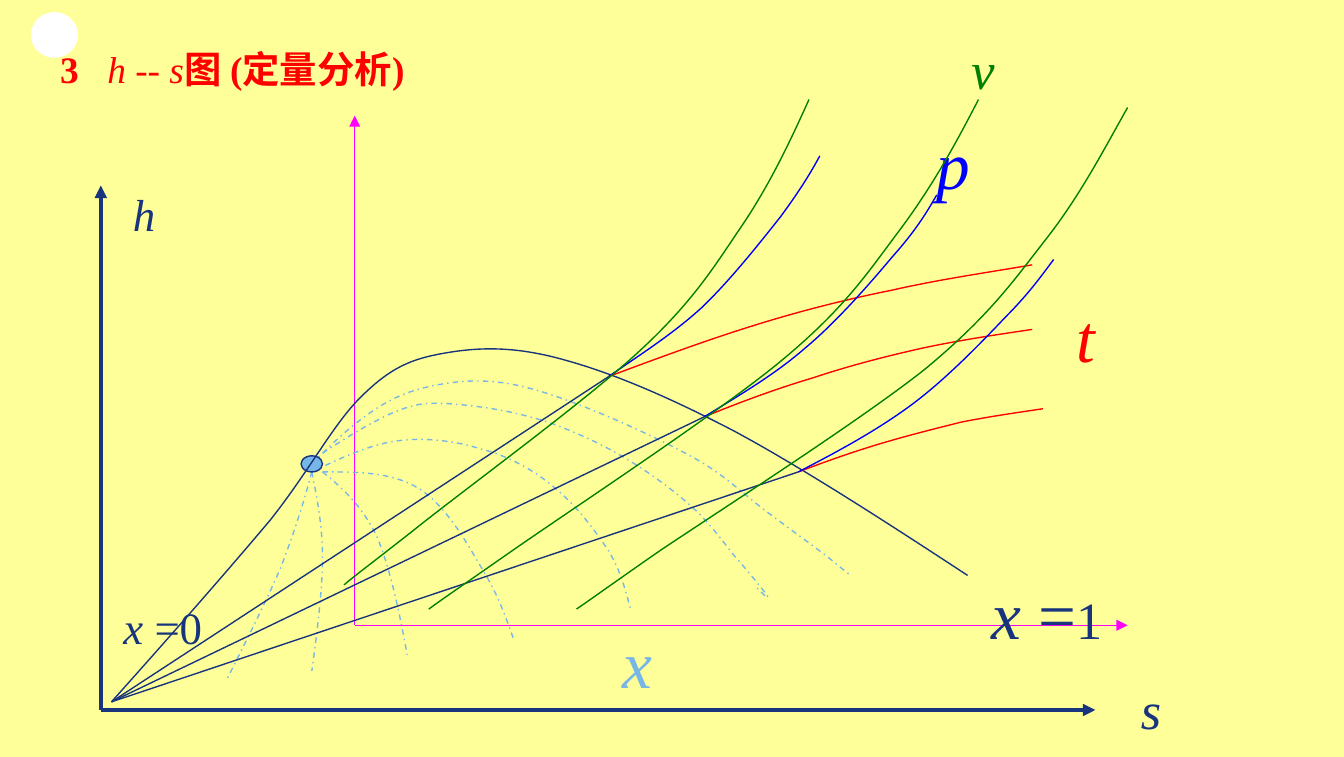
from dataclasses import dataclass

from lxml import etree
from pptx import Presentation
from pptx import util as u
from pptx.dml.color import RGBColor
from pptx.enum import dml, shapes, text
from pptx.oxml import ns


@dataclass(frozen=True)
class Theme:
    font: str = "Times New Roman"
    paper: str = "FFFF99"
    white: str = "FFFFFF"
    navy: str = "17347D"
    sky: str = "77B7E7"
    red: str = "FF0000"
    blue: str = "0000FF"
    green: str = "008000"
    magenta: str = "FF00FF"
    title: int = 20
    small: int = 24
    medium: int = 28
    large: int = 36
    thin: float = 0.75
    thick: float = 2.25


T = Theme()

# Each curve is a start point, then two control points and an end per segment
QUALITY_CURVES = [
    [(2.4, 3.37), (2.54, 3.28), (2.68, 3.19), (2.8, 3.13), (2.91, 3.07), (3.01, 3.03), (3.11, 3.01),
     (3.21, 2.99), (3.31, 3), (3.43, 3.01), (3.54, 3.02), (3.69, 3.04), (3.82, 3.07),
     (3.95, 3.1), (4.07, 3.13), (4.21, 3.19), (4.36, 3.25), (4.53, 3.33), (4.69, 3.43),
     (4.84, 3.52), (5.03, 3.66), (5.16, 3.78), (5.29, 3.9), (5.38, 4.03), (5.47, 4.14),
     (5.56, 4.24), (5.68, 4.39), (5.71, 4.43), (5.73, 4.47), (5.68, 4.42), (5.63, 4.37)],
    [(2.32, 3.45), (2.48, 3.29), (2.64, 3.14), (2.8, 3.04), (2.95, 2.94), (3.1, 2.89), (3.27, 2.86),
     (3.44, 2.83), (3.61, 2.82), (3.82, 2.86), (4.03, 2.9), (4.29, 3), (4.53, 3.1),
     (4.76, 3.2), (5.04, 3.33), (5.24, 3.45), (5.43, 3.57), (5.55, 3.69), (5.71, 3.81),
     (5.87, 3.93), (6.08, 4.08), (6.18, 4.16), (6.28, 4.24), (6.31, 4.27), (6.34, 4.28)],
    [(2.32, 3.51), (2.53, 3.41), (2.74, 3.31), (2.95, 3.28), (3.16, 3.25), (3.39, 3.28), (3.58, 3.34),
     (3.78, 3.39), (3.98, 3.5), (4.13, 3.63), (4.29, 3.76), (4.44, 3.96), (4.53, 4.1),
     (4.62, 4.25), (4.65, 4.38), (4.69, 4.52)],
    [(2.32, 3.51), (2.26, 3.74), (2.19, 3.96), (2.09, 4.22), (1.98, 4.48), (1.76, 4.91), (1.69, 5.05)],
    [(2.32, 3.51), (2.36, 3.71), (2.4, 3.91), (2.4, 4.16), (2.4, 4.41), (2.34, 4.85), (2.32, 4.99)],
    [(2.4, 3.51), (2.55, 3.63), (2.69, 3.76), (2.8, 3.98), (2.9, 4.21), (2.97, 4.54), (3.03, 4.87)],
    [(2.4, 3.51), (2.66, 3.51), (2.91, 3.51), (3.11, 3.63), (3.31, 3.75), (3.47, 4.03), (3.58, 4.22),
     (3.7, 4.41), (3.76, 4.58), (3.82, 4.75)],
]
SATURATION_DOME = [
    (0.83, 5.22), (1.26, 4.74), (1.69, 4.25), (2.01, 3.87), (2.32, 3.48), (2.49, 3.13), (2.72, 2.92),
    (2.94, 2.71), (3.1, 2.66), (3.35, 2.62), (3.6, 2.58), (3.86, 2.58), (4.21, 2.68),
    (4.57, 2.78), (4.97, 2.95), (5.47, 3.21), (5.97, 3.48), (6.59, 3.88), (7.2, 4.28),
]
ISOTHERMS = [
    [(5.24, 3.1), (5.51, 2.99), (5.78, 2.89), (6.05, 2.81), (6.32, 2.72), (6.59, 2.65), (6.86, 2.59),
     (7.14, 2.53), (7.41, 2.49), (7.68, 2.45)],
    [(5.94, 3.51), (6.15, 3.43), (6.35, 3.36), (6.55, 3.3), (6.75, 3.24), (6.95, 3.19), (7.15, 3.14),
     (7.35, 3.1), (7.56, 3.07), (7.76, 3.04)],
    [(4.53, 2.8), (4.88, 2.67), (5.23, 2.54), (5.58, 2.43), (5.93, 2.32), (6.28, 2.23), (6.63, 2.16),
     (6.98, 2.08), (7.33, 2.03), (7.68, 1.97)],
]
ISOBARS = [
    [(4.53, 2.8), (4.76, 2.64), (5, 2.49), (5.22, 2.29), (5.43, 2.09), (5.66, 1.8), (5.81, 1.61),
     (5.95, 1.42), (6.03, 1.29), (6.1, 1.16)],
    [(5.24, 3.1), (5.5, 2.94), (5.76, 2.79), (5.99, 2.59), (6.23, 2.39), (6.48, 2.1), (6.64, 1.91),
     (6.81, 1.72), (6.89, 1.59), (6.97, 1.45)],
    [(5.94, 3.51), (6.23, 3.36), (6.51, 3.21), (6.77, 3.02), (7.03, 2.83), (7.3, 2.55), (7.48, 2.36),
     (7.66, 2.18), (7.75, 2.05), (7.84, 1.93)],
]
ISOCHORES = [
    [(6.02, 0.74), (5.88, 1.05), (5.73, 1.37), (5.52, 1.68), (5.31, 1.99), (5.16, 2.24), (4.76, 2.61),
     (4.35, 2.99), (3.43, 3.66), (3.07, 3.95), (2.7, 4.24), (2.63, 4.29), (2.56, 4.35)],
    [(7.28, 0.74), (7.11, 1.07), (6.93, 1.4), (6.68, 1.73), (6.44, 2.05), (6.27, 2.31), (5.78, 2.71),
     (5.3, 3.1), (4.22, 3.81), (3.79, 4.11), (3.36, 4.41), (3.27, 4.47), (3.19, 4.53)],
    [(8.39, 0.8), (8.21, 1.12), (8.04, 1.45), (7.79, 1.77), (7.54, 2.09), (7.37, 2.34), (6.89, 2.74),
     (6.4, 3.13), (5.32, 3.82), (4.89, 4.11), (4.46, 4.41), (4.38, 4.47), (4.29, 4.53)],
]


def rgb(color):
    return RGBColor.from_string(color)


def add_line(s, start, end, color, width=T.thin, arrow=False):
    sp = s.shapes.add_connector(shapes.MSO_CONNECTOR.STRAIGHT, *map(u.Inches, start + end))
    sp.line.color.rgb = rgb(color)
    sp.line.width = u.Pt(width)
    if arrow:
        etree.SubElement(sp.line._get_or_add_ln(), ns.qn("a:tailEnd"), type="triangle")
    etree.SubElement(sp._element.spPr, ns.qn("a:effectLst"))


def add_axes(s, origin, top, right, color, width):
    x, y = origin
    for tip in ((x, top), (right, y)):
        add_line(s, origin, tip, color, width, arrow=True)


def add_curve(s, points, color, dash=None):
    start, *rest = [(u.Inches(x), u.Inches(y)) for x, y in points]
    builder = s.shapes.build_freeform(*start)
    builder.add_line_segments(rest, close=False)
    sp = builder.convert_to_shape()
    # Turn every three straight steps into one cubic segment
    steps = list(sp._element.iter(ns.qn("a:lnTo")))
    for i in range(0, len(steps), 3):
        cubic = etree.Element(ns.qn("a:cubicBezTo"))
        steps[i].addprevious(cubic)
        for step in steps[i:i + 3]:
            cubic.append(step[0])
            step.getparent().remove(step)
    sp.shadow.inherit = False
    sp.fill.background()
    sp.line.color.rgb = rgb(color)
    sp.line.width = u.Pt(T.thin)
    if dash:
        sp.line.dash_style = dash


def add_ellipse(s, box, fill, line=None):
    sp = s.shapes.add_shape(shapes.MSO_SHAPE.OVAL, *map(u.Inches, box))
    sp.shadow.inherit = False
    sp.fill.solid()
    sp.fill.fore_color.rgb = rgb(fill)
    if line:
        sp.line.color.rgb = rgb(line)
        sp.line.width = u.Pt(T.thin)
    else:
        sp.line.fill.background()


def add_text(s, box, runs, color, size, wrap=False, tab=None, anchor=text.MSO_ANCHOR.TOP):
    """Runs are (text, font settings) pairs."""
    tf = s.shapes.add_textbox(*map(u.Inches, box)).text_frame
    tf.word_wrap = wrap
    if not wrap:
        tf.auto_size = text.MSO_AUTO_SIZE.SHAPE_TO_FIT_TEXT
    tf.vertical_anchor = anchor
    p = tf.paragraphs[0]
    if tab:
        tabs = etree.SubElement(p._p.get_or_add_pPr(), ns.qn("a:tabLst"))
        etree.SubElement(tabs, ns.qn("a:tab"), pos=str(u.Inches(tab)), algn="l")
    p.font.name = T.font
    p.font.size = u.Pt(size)
    p.font.color.rgb = rgb(color)
    for content, settings in runs:
        r = p.add_run()
        r.text = content
        for name, value in settings.items():
            setattr(r.font, name, value)


def main():
    prs = Presentation()
    prs.slide_width, prs.slide_height = u.Inches(10), u.Inches(5.63)
    s = prs.slides.add_slide(prs.slide_layouts[6])
    s.background.fill.solid()
    s.background.fill.fore_color.rgb = rgb(T.paper)
    bold, italic = {"bold": True}, {"italic": True}

    # Corner dot and title
    add_ellipse(s, (0.23, 0.09, 0.35, 0.34), T.white)
    add_text(s, (0.35, 0.21, 8.5, 0.6), [("3\t", bold), ("h -- s", italic), ("图 (定量分析)", bold)],
             T.red, T.title, wrap=True, tab=0.35, anchor=text.MSO_ANCHOR.MIDDLE)

    # Inner axes, lines of constant quality and critical point
    add_axes(s, (2.64, 4.65), 0.86, 8.39, T.magenta, T.thin)
    for points in QUALITY_CURVES:
        add_curve(s, points, T.sky, dml.MSO_LINE.DASH_DOT)
    add_ellipse(s, (2.24, 3.39, 0.16, 0.12), T.sky, T.navy)

    # Main axes, saturation dome and wet-region lines
    add_axes(s, (0.75, 5.28), 1.38, 8.15, T.navy, T.thick)
    add_curve(s, SATURATION_DOME, T.navy)
    for end in ((4.53, 2.8), (5.24, 3.1), (5.94, 3.51)):
        add_line(s, SATURATION_DOME[0], end, T.navy)

    # Isotherms and isobars
    for curves, color in ((ISOTHERMS, T.red), (ISOBARS, T.blue)):
        for points in curves:
            add_curve(s, points, color)

    # Labels
    for name, box, color, size in (
        ("h", (0.89, 1.34, 0.36, 0.5), T.navy, T.small),
        ("s", (8.39, 4.99, 0.35, 0.57), T.navy, T.medium),
        ("t", (7.91, 2.15, 0.34, 0.7), T.red, T.large),
        ("p", (6.87, 0.86, 0.45, 0.7), T.blue, T.large),
        ("v", (7.13, 0.23, 0.37, 0.57), T.green, T.medium),
    ):
        add_text(s, box, [(name, italic)], color, size)
    add_text(s, (4.53, 4.57, 0.79, 0.7), [("x", italic)], T.sky, T.large, wrap=True)
    add_text(s, (0.82, 4.41, 0.82, 0.5), [("x ", italic), ("=0", {})], T.navy, T.small)
    add_text(s, (7.28, 4.21, 1.04, 0.7), [("x ", italic), ("=", {}), ("1", {"size": u.Pt(T.medium)})],
             T.navy, T.large)

    # Isochores
    for points in ISOCHORES:
        add_curve(s, points, T.green)

    prs.save("out.pptx")


if __name__ == "__main__":
    main()
